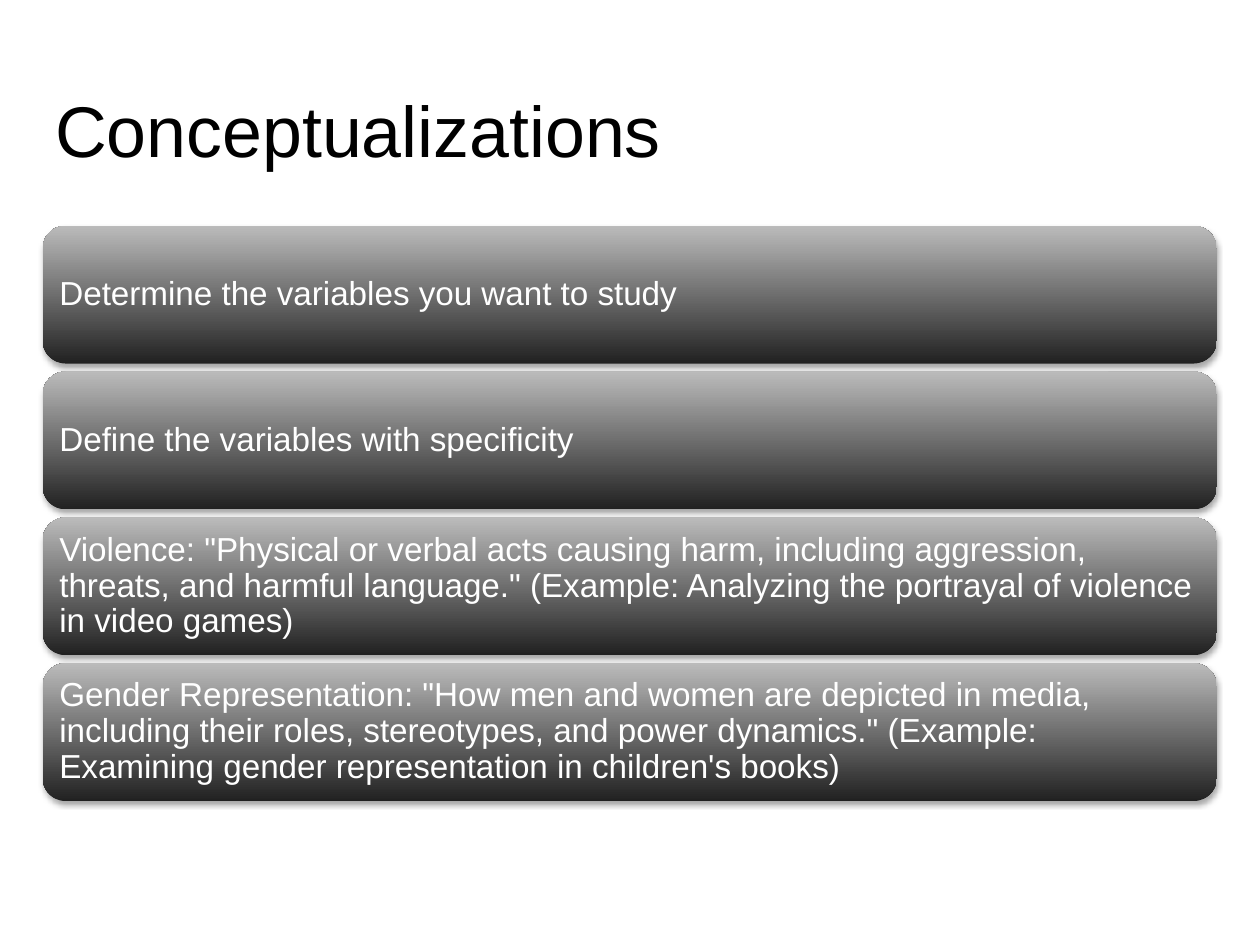
from dataclasses import dataclass

from lxml.etree import SubElement
from pptx import Presentation
from pptx.dml.color import RGBColor
from pptx.enum.shapes import MSO_SHAPE as Shape
from pptx.enum.text import MSO_ANCHOR as Anchor, PP_ALIGN as Align
from pptx.oxml.ns import qn
from pptx.util import Cm, Length, Pt


@dataclass(frozen=True)
class Theme:
    font: str = "Arial"
    title_size: Length = Pt(41)
    body_size: Length = Pt(19)
    title: RGBColor = RGBColor(0x00, 0x00, 0x00)
    body: RGBColor = RGBColor(0xFF, 0xFF, 0xFF)
    bar_bottom: RGBColor = RGBColor(0x21, 0x21, 0x21)
    bar_top: RGBColor = RGBColor(0xBB, 0xBB, 0xBB)
    shadow: str = "000000"


@dataclass(frozen=True)
class Box:
    left: Length
    top: Length
    width: Length
    height: Length

    def below(self, steps: int, gap: Length) -> "Box":
        """The same box, moved down by a number of rows."""
        top = Length(self.top + steps * (self.height + gap))
        return Box(self.left, top, self.width, self.height)

    def bounds(self) -> tuple:
        return self.left, self.top, self.width, self.height


THEME = Theme()
TITLE_BOX = Box(Cm(0.86), Cm(1.65), Cm(23.67), Cm(2.11))
FIRST_BAR = Box(Cm(0.86), Cm(4.55), Cm(23.67), Cm(2.78))
BAR_GAP = Cm(0.16)
STEPS = (
    "Determine the variables you want to study",
    "Define the variables with specificity",
    'Violence: "Physical or verbal acts causing harm, including aggression, '
    'threats, and harmful language." (Example: Analyzing the portrayal of '
    "violence in video games)",
    'Gender Representation: "How men and women are depicted in media, '
    'including their roles, stereotypes, and power dynamics." (Example: '
    "Examining gender representation in children's books)",
)


def write(s, text: str, size: Length, color: RGBColor, inset: Length) -> None:
    tf = s.text_frame
    tf.word_wrap = True
    tf.vertical_anchor = Anchor.MIDDLE
    tf.margin_left = tf.margin_right = inset
    tf.margin_top = tf.margin_bottom = inset
    tf.text = text
    p = tf.paragraphs[0]
    p.alignment = Align.LEFT
    p.line_spacing = 0.9
    font = p.runs[0].font
    font.name, font.size = THEME.font, size
    font.color.rgb = color


def add_shadow(s) -> None:
    """Soft shadow straight below the shape."""
    s.shadow.inherit = False
    effects = s._element.spPr.find(qn("a:effectLst"))
    shadow = SubElement(effects, qn("a:outerShdw"), blurRad=str(Pt(3.1)),
                        dist=str(Pt(1.8)), dir="5400000", rotWithShape="0")
    color = SubElement(shadow, qn("a:srgbClr"), val=THEME.shadow)
    SubElement(color, qn("a:alpha"), val="34000")


def add_bar(slide, box: Box, text: str) -> None:
    s = slide.shapes.add_shape(Shape.ROUNDED_RECTANGLE, *box.bounds())
    s.adjustments[0] = 0.17
    s.fill.gradient()
    s.fill.gradient_angle = 90
    for stop, color in zip(s.fill.gradient_stops,
                           (THEME.bar_bottom, THEME.bar_top)):
        stop.color.rgb = color
    s.line.fill.background()
    add_shadow(s)
    write(s, text, THEME.body_size, THEME.body, Cm(0.2))


def main() -> None:
    prs = Presentation()
    prs.slide_width, prs.slide_height = Cm(25.4), Cm(19.05)
    slide = prs.slides.add_slide(prs.slide_layouts[6])
    title = slide.shapes.add_textbox(*TITLE_BOX.bounds())
    write(title, "Conceptualizations", THEME.title_size, THEME.title, Cm(0.25))
    for i, text in enumerate(STEPS):
        add_bar(slide, FIRST_BAR.below(i, BAR_GAP), text)
    prs.save("out.pptx")


if __name__ == "__main__":
    main()
